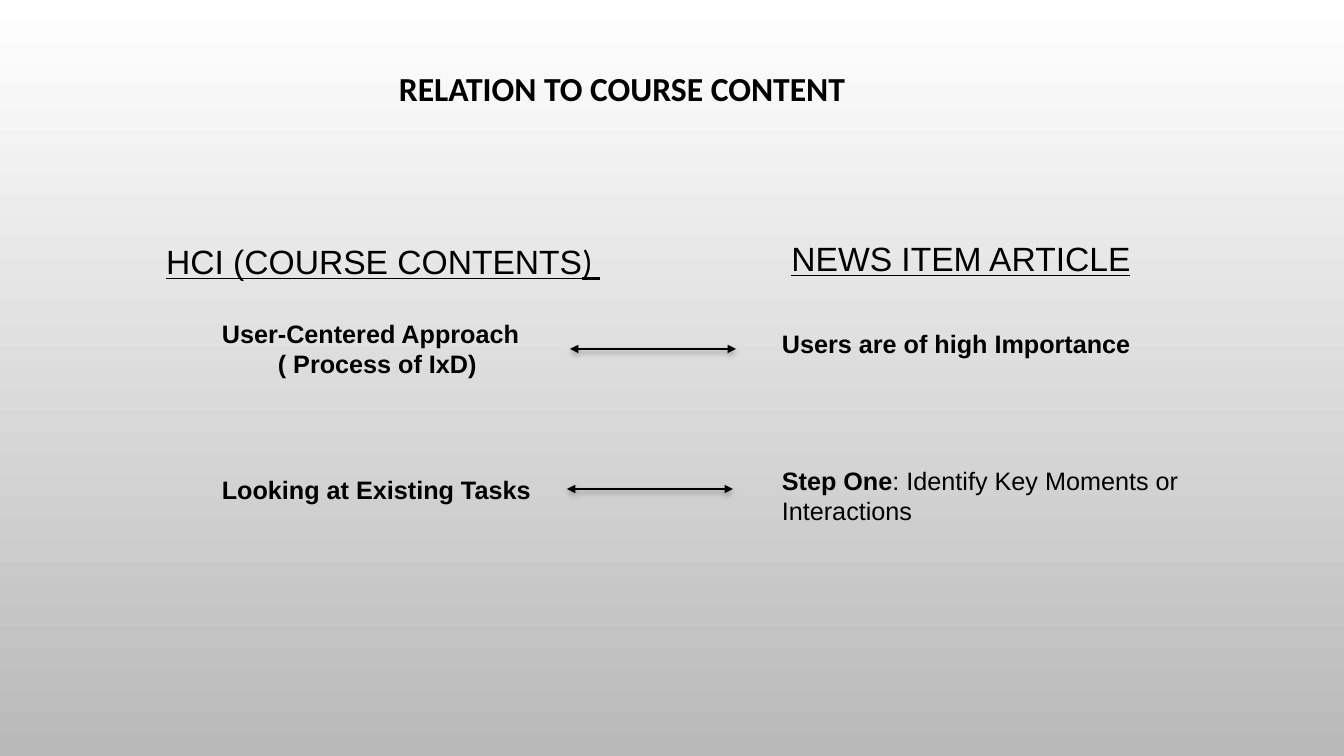
from lxml.etree import SubElement
from pptx import Presentation
from pptx.dml.color import RGBColor
from pptx.enum.shapes import MSO_CONNECTOR
from pptx.enum.text import MSO_ANCHOR, MSO_AUTO_SIZE, PP_ALIGN
from pptx.oxml import parse_xml
from pptx.oxml.ns import nsdecls, qn
from pptx.util import Pt

BLACK = RGBColor(0x00, 0x00, 0x00)
WHITE = RGBColor(0xFF, 0xFF, 0xFF)
GRAY = RGBColor(0xB9, 0xB9, 0xB9)

SLIDE_SIZE = (1344, 756)
EMU_PER_PX = 914400 / 100.8

TITLE = ("RELATION TO COURSE CONTENT", (51, 58, 1142, 66))
HEADINGS = [
    ([("HCI (COURSE CONTENTS", "Arial"), (") ", "Calibri")], (144, 241, 478, 46)),
    ([("NEWS ITEM ARTICLE", "Arial")], (722, 238, 478, 46)),
]
# Each paragraph is an indent and its (text, bold) runs.
ITEMS = [
    ([(0, [("User-Centered Approach", True)]),
      (56, [("( Process of IxD)", True)])], (212, 313, 344, 72)),
    ([(0, [("Users are of high Importance", True)])], (772, 323, 377, 40)),
    ([(0, [("Looking at Existing Tasks", True)])], (212, 469, 344, 40)),
    ([(0, [("Step One", True),
           (": Identify Key Moments or Interactions", False)])], (772, 460, 419, 102)),
]
ARROW_LENGTH = 166
ARROWS = [(570, 349), (567, 489)]

ARROW_SHADOW = (
    f'<a:effectLst {nsdecls("a")}>'
    '<a:outerShdw blurRad="50800" dist="25400" dir="5400000" rotWithShape="0">'
    '<a:srgbClr val="000000"><a:alpha val="28000"/></a:srgbClr>'
    '</a:outerShdw></a:effectLst>'
)


def px(length):
    return round(length * EMU_PER_PX)


def add_box(slide, box):
    shape = slide.shapes.add_textbox(*map(px, box))
    shape.text_frame.word_wrap = True
    return shape.text_frame


def format_heading(text_frame, anchor):
    text_frame.vertical_anchor = anchor
    paragraph = text_frame.paragraphs[0]
    paragraph.alignment = PP_ALIGN.CENTER
    paragraph.line_spacing = 0.9
    paragraph.font.size = Pt(24)
    paragraph.font.color.rgb = BLACK
    return paragraph


def add_title(slide, text, box):
    title = slide.shapes.title
    title.left, title.top, title.width, title.height = map(px, box)
    title.text_frame.text = text
    title.text_frame.auto_size = MSO_AUTO_SIZE.NONE
    paragraph = format_heading(title.text_frame, MSO_ANCHOR.MIDDLE)
    paragraph.font.name = "Calibri"
    paragraph.font.bold = True


def add_heading(slide, runs, box):
    paragraph = format_heading(add_box(slide, box), MSO_ANCHOR.BOTTOM)
    paragraph.font.underline = True
    for text, font_name in runs:
        run = paragraph.add_run()
        run.text = text
        run.font.name = font_name


def add_item(slide, paragraphs, box):
    text_frame = add_box(slide, box)
    for index, (indent, runs) in enumerate(paragraphs):
        paragraph = text_frame.add_paragraph() if index else text_frame.paragraphs[0]
        paragraph.font.name = "Arial"
        paragraph.font.size = Pt(18)
        paragraph.font.color.rgb = BLACK
        paragraph._p.get_or_add_pPr().set("marL", str(px(indent)))
        for text, bold in runs:
            run = paragraph.add_run()
            run.text = text
            run.font.bold = bold


def add_arrow(slide, left, top):
    arrow = slide.shapes.add_connector(
        MSO_CONNECTOR.STRAIGHT, px(left), px(top), px(left + ARROW_LENGTH), px(top))
    arrow.line.color.rgb = BLACK
    arrow.line.width = Pt(1.75)
    line = arrow.line._get_or_add_ln()
    for end in ("a:headEnd", "a:tailEnd"):
        SubElement(line, qn(end), type="triangle")
    arrow._element.spPr.append(parse_xml(ARROW_SHADOW))


def main():
    presentation = Presentation()
    presentation.slide_width, presentation.slide_height = map(px, SLIDE_SIZE)
    slide = presentation.slides.add_slide(presentation.slide_layouts[5])

    background = slide.background.fill
    background.gradient()
    background.gradient_angle = 270
    for stop, color in zip(background.gradient_stops, (WHITE, GRAY)):
        stop.color.rgb = color

    add_title(slide, *TITLE)
    for runs, box in HEADINGS:
        add_heading(slide, runs, box)
    for left, top in ARROWS:
        add_arrow(slide, left, top)
    for paragraphs, box in ITEMS:
        add_item(slide, paragraphs, box)
    presentation.save("out.pptx")


if __name__ == "__main__":
    main()
